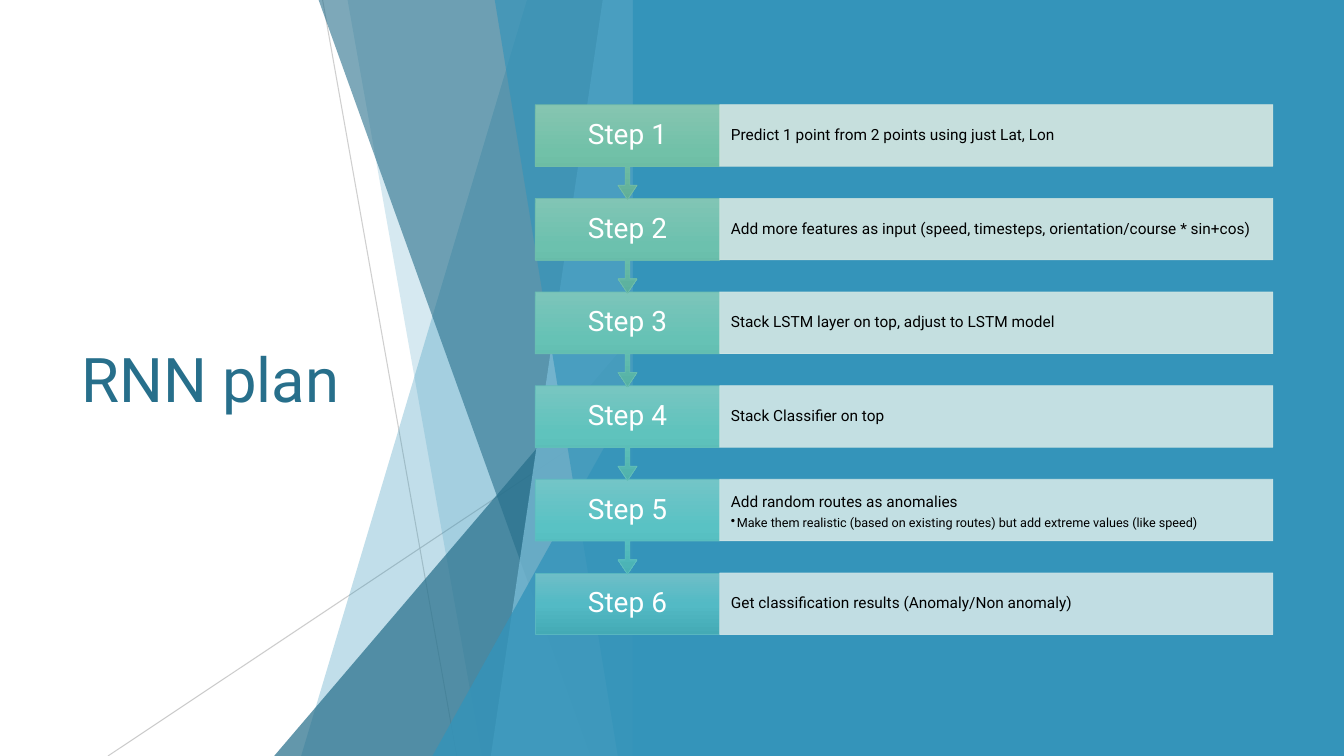
from copy import deepcopy

from lxml.etree import SubElement
from pptx import Presentation
from pptx.dml.color import RGBColor
from pptx.enum.shapes import MSO_CONNECTOR, MSO_SHAPE
from pptx.enum.text import MSO_ANCHOR, PP_ALIGN
from pptx.oxml.ns import qn
from pptx.util import Cm, Pt

FONT = "Roboto"
WHITE = RGBColor(0xFF, 0xFF, 0xFF)
BLACK = RGBColor(0x00, 0x00, 0x00)
GREY = RGBColor(0xBF, 0xBF, 0xBF)
BLUE = RGBColor(0x34, 0x94, 0xBA)
DARK_BLUE = RGBColor(0x27, 0x6F, 0x8B)
LIGHT_BLUE = RGBColor(0x7F, 0xC1, 0xDB)

TITLE = "RNN plan"

# detail, sub-points, gradient (top, middle, bottom), outline, detail fill
STEPS = [
    ("Predict 1 point from 2 points using just Lat, Lon", [],
     ("86C5B1", "71C1A8", "61AF97"), "75BDA7", "D6E8E1"),
    ("Add more features as input (speed, timesteps, orientation/course * sin+cos)", [],
     ("81C5B5", "6CC1AE", "5BB09D"), "6FBDAC", "D5E8E3"),
    ("Stack LSTM layer on top, adjust to LSTM model", [],
     ("7CC5BA", "66C2B5", "55B1A4"), "6ABEB2", "D4E8E5"),
    ("Stack Classifier on top", [],
     ("78C6C1", "5FC3BD", "50B2AC"), "64BEB9", "D3E8E7"),
    ("Add random routes as anomalies",
     ["Make them realistic (based on existing routes) but add extreme values (like speed)"],
     ("73C5C7", "59C2C4", "4AB2B4"), "5EBEBF", "D2E8E8"),
    ("Get classification results (Anomaly/Non anomaly)", [],
     ("6FBEC7", "53BAC5", "44AAB5"), "58B6C0", "D1E5E8"),
]

SLIDE_WIDTH, SLIDE_HEIGHT = 33.87, 19.05
PANEL_LEFT = 15.95

# x and y of both ends, opacity in percent
THIN_LINES = [
    (8.13, 0, 11.51, SLIDE_HEIGHT, 75),
    (PANEL_LEFT, 10.24, 2.72, SLIDE_HEIGHT, 80),
]

# left edge at the top, left edge at the bottom, top, colour, opacity;
# every facet runs to the panel, and one that starts there is a triangle
FACETS = [
    (13.28, 7.59, 0, BLUE, 30),
    (8.76, 12.14, 0, BLUE, 20),
    (PANEL_LEFT, 6.91, 8.46, DARK_BLUE, 72),
    (8.03, 14.88, 0, DARK_BLUE, 60),
    (15.19, 12.37, 0, LIGHT_BLUE, 70),
    (12.47, 15.57, 0, BLUE, 65),
    (PANEL_LEFT, 10.9, 9.98, BLUE, 80),
]

STEP_LEFT, STEP_TOP, STEP_WIDTH = 13.49, 2.64, 4.65
STEP_PITCH, STEP_HEIGHT, CALLOUT_HEIGHT = 2.36, 1.55, 2.39
DETAIL_WIDTH = 13.94
CALLOUT_ADJUSTMENTS = (0.05, 0.1, 0.15, 0.65)


def set_opacity(fill_parent, percent):
    color = fill_parent.find(qn("a:solidFill"))[0]
    SubElement(color, qn("a:alpha"), val=str(percent * 1000))


def add_box(page, kind, left, top, width, height):
    box = page.shapes.add_shape(kind, Cm(left), Cm(top), Cm(width), Cm(height))
    box.shadow.inherit = False
    box.line.fill.background()
    return box


def paint(shape, color, opacity=100):
    shape.fill.solid()
    shape.fill.fore_color.rgb = color
    if opacity < 100:
        set_opacity(shape.element.spPr, opacity)


def paint_gradient(shape, colors):
    """Fill with evenly spaced colours from top to bottom."""
    shape.fill.gradient()
    shape.fill.gradient_angle = 270
    stop_list = shape.element.spPr.find(".//" + qn("a:gsLst"))
    stop_list.insert(1, deepcopy(stop_list[0]))
    for index, (stop, color) in enumerate(zip(shape.fill.gradient_stops, colors)):
        stop.position = index / (len(colors) - 1)
        stop.color.rgb = RGBColor.from_string(color)


def outline(shape, color):
    shape.line.color.rgb = RGBColor.from_string(color)
    shape.line.width = Pt(0.5)


def set_frame(frame, side, vertical, anchor=MSO_ANCHOR.MIDDLE):
    frame.word_wrap = True
    frame.vertical_anchor = anchor
    frame.margin_left = frame.margin_right = Cm(side)
    frame.margin_top = frame.margin_bottom = Cm(vertical)


def write(para, text, size, color, align=PP_ALIGN.LEFT):
    para.alignment = align
    span = para.add_run()
    span.text = text
    span.font.name = FONT
    span.font.size = Pt(size)
    span.font.color.rgb = color


def add_bullet(para):
    para.level = 1
    properties = para._p.get_or_add_pPr()
    properties.set("marL", str(Cm(0.15)))
    properties.set("indent", str(Cm(-0.15)))
    SubElement(properties, qn("a:buChar"), char="•")


def add_thin_line(page, x1, y1, x2, y2, opacity):
    line = page.shapes.add_connector(
        MSO_CONNECTOR.STRAIGHT, Cm(x1), Cm(y1), Cm(x2), Cm(y2))
    line.line.color.rgb = GREY
    line.line.width = Pt(0.75)
    properties = line._element.spPr
    set_opacity(properties.find(qn("a:ln")), opacity)
    SubElement(properties, qn("a:effectLst"))


def add_facet(page, top_x, bottom_x, top, color, opacity):
    if top_x == PANEL_LEFT:
        facet = add_box(page, MSO_SHAPE.ISOSCELES_TRIANGLE, bottom_x, top,
                        PANEL_LEFT - bottom_x, SLIDE_HEIGHT - top)
        facet.adjustments[0] = 1
    else:
        builder = page.shapes.build_freeform(Cm(top_x), Cm(top))
        corners = [(PANEL_LEFT, top), (PANEL_LEFT, SLIDE_HEIGHT), (bottom_x, SLIDE_HEIGHT)]
        builder.add_line_segments([(Cm(x), Cm(y)) for x, y in corners])
        facet = builder.convert_to_shape()
        facet.shadow.inherit = False
        facet.line.fill.background()
    paint(facet, color, opacity)


def add_step(page, index, detail, points, gradient, edge, tint):
    top = STEP_TOP + index * STEP_PITCH
    if index == len(STEPS) - 1:
        label = add_box(page, MSO_SHAPE.RECTANGLE, STEP_LEFT, top, STEP_WIDTH, STEP_HEIGHT)
    else:
        label = add_box(page, MSO_SHAPE.DOWN_ARROW_CALLOUT,
                        STEP_LEFT, top, STEP_WIDTH, CALLOUT_HEIGHT)
        for position, value in enumerate(CALLOUT_ADJUSTMENTS):
            label.adjustments[position] = value
    paint_gradient(label, gradient)
    outline(label, edge)
    set_frame(label.text_frame, 0.33, 0.4)
    para = label.text_frame.paragraphs[0]
    para.line_spacing = 0.9
    write(para, f"Step {index + 1}", 20, WHITE, PP_ALIGN.CENTER)

    box = add_box(page, MSO_SHAPE.RECTANGLE, STEP_LEFT + STEP_WIDTH, top,
                  DETAIL_WIDTH, STEP_HEIGHT)
    paint(box, RGBColor.from_string(tint), 90)
    outline(box, tint)
    set_opacity(box.element.spPr.find(qn("a:ln")), 90)
    frame = box.text_frame
    set_frame(frame, 0.28, 0.38, MSO_ANCHOR.TOP if points else MSO_ANCHOR.MIDDLE)
    para = frame.paragraphs[0]
    para.line_spacing = 0.9
    write(para, detail, 11, BLACK)
    for point in points:
        para.space_after = Pt(4)
        para = frame.add_paragraph()
        para.line_spacing = 0.9
        write(para, point, 9, BLACK)
        add_bullet(para)


def main():
    deck = Presentation()
    deck.slide_width, deck.slide_height = Cm(SLIDE_WIDTH), Cm(SLIDE_HEIGHT)
    page = deck.slides.add_slide(deck.slide_layouts[6])

    for line in THIN_LINES:
        add_thin_line(page, *line)
    for facet in FACETS:
        add_facet(page, *facet)

    title = page.shapes.add_textbox(Cm(1.8), Cm(3.84), Cm(9.86), Cm(11.38))
    set_frame(title.text_frame, 0.25, 0.13)
    write(title.text_frame.paragraphs[0], TITLE, 44, DARK_BLUE)

    panel = add_box(page, MSO_SHAPE.RECTANGLE, PANEL_LEFT, 0,
                    SLIDE_WIDTH - PANEL_LEFT, SLIDE_HEIGHT)
    paint(panel, BLUE)

    for index, step in reversed(list(enumerate(STEPS))):
        add_step(page, index, *step)
    deck.save("out.pptx")


if __name__ == "__main__":
    main()
